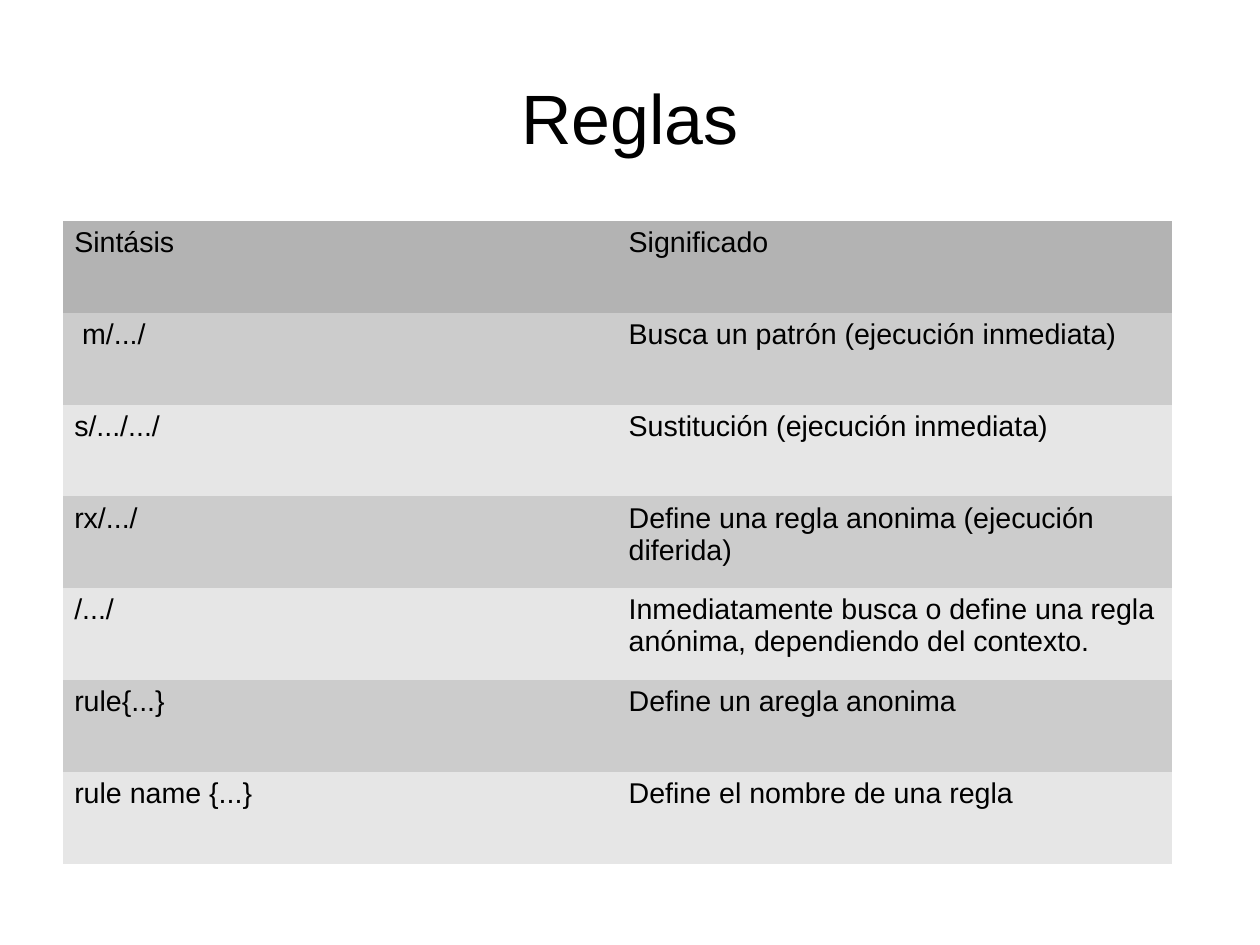
from pptx import Presentation
from pptx.dml.color import RGBColor
from pptx.enum.text import MSO_ANCHOR, MSO_AUTO_SIZE, PP_ALIGN
from pptx.util import Cm, Pt

HEADER_FILL = "B3B3B3"
BAND_FILLS = ["CCCCCC", "E6E6E6"]
NO_STYLE_NO_GRID = "{2D5ABB26-0587-4C30-8999-92F81FD0307C}"
ROW_HEIGHT = 2.04
COLUMN_WIDTH = 12.32

RULES = [
    ("Sintásis", "Significado"),
    (" m/.../", "Busca un patrón (ejecución inmediata)"),
    ("s/.../.../", "Sustitución (ejecución inmediata)"),
    ("rx/.../", "Define una regla anonima (ejecución diferida)"),
    ("/.../", "Inmediatamente busca o define una regla anónima, dependiendo del contexto."),
    ("rule{...}", "Define un aregla anonima"),
    ("rule name {...}", "Define el nombre de una regla"),
]


def color(hex_code):
    return RGBColor.from_string(hex_code)


def add_run(paragraph, text, size):
    run = paragraph.add_run()
    run.text = text
    run.font.name = "Arial"
    run.font.size = Pt(size)
    run.font.bold = False
    run.font.color.rgb = color("000000")


presentation = Presentation()
presentation.slide_width = Cm(28)
presentation.slide_height = Cm(21)
slide = presentation.slides.add_slide(presentation.slide_layouts[5])
slide.background.fill.solid()
slide.background.fill.fore_color.rgb = color("FFFFFF")

title = slide.shapes.title
title.left, title.top, title.width, title.height = Cm(1.4), Cm(0.84), Cm(25.2), Cm(3.5)
title_frame = title.text_frame
title_frame.margin_left = title_frame.margin_right = Cm(0)
title_frame.margin_top = title_frame.margin_bottom = Cm(0)
title_frame.vertical_anchor = MSO_ANCHOR.MIDDLE
title_frame.auto_size = MSO_AUTO_SIZE.NONE
title_frame.word_wrap = True
title_frame.paragraphs[0].alignment = PP_ALIGN.CENTER
add_run(title_frame.paragraphs[0], "Reglas", 44)

table_frame = slide.shapes.add_table(
    len(RULES), 2, Cm(1.4), Cm(4.91), Cm(2 * COLUMN_WIDTH), Cm(len(RULES) * ROW_HEIGHT)
)
table = table_frame.table
table.first_row = False
table.horz_banding = False
table_frame._element.xpath(".//a:tableStyleId")[0].text = NO_STYLE_NO_GRID

for column in table.columns:
    column.width = Cm(COLUMN_WIDTH)

for row_index, texts in enumerate(RULES):
    table.rows[row_index].height = Cm(ROW_HEIGHT)
    row_fill = BAND_FILLS[(row_index - 1) % 2] if row_index else HEADER_FILL
    for column_index, text in enumerate(texts):
        cell = table.cell(row_index, column_index)
        cell.fill.solid()
        cell.fill.fore_color.rgb = color(row_fill)
        cell.margin_left = cell.margin_right = Cm(0.25)
        cell.margin_top = cell.margin_bottom = Cm(0.13)
        add_run(cell.text_frame.paragraphs[0], text, 18)

presentation.save("out.pptx")
